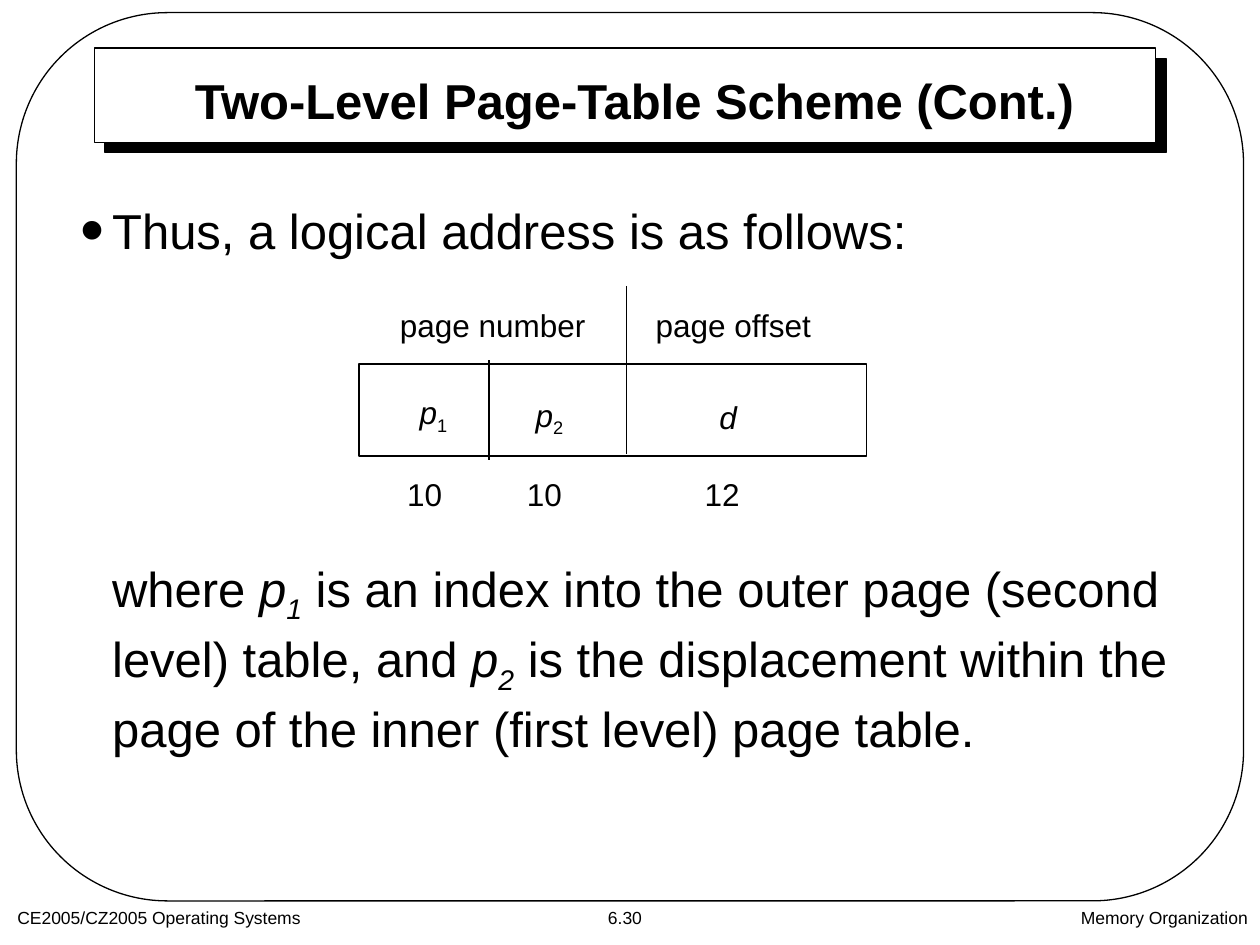
from dataclasses import dataclass

from lxml import etree
from pptx import Presentation
from pptx import util as u
from pptx.dml.color import RGBColor
from pptx.enum import shapes, text
from pptx.oxml import ns

ALIGN = text.PP_ALIGN


@dataclass(frozen=True)
class Theme:
    ink: RGBColor = RGBColor(0, 0, 0)
    paper: RGBColor = RGBColor(255, 255, 255)
    font: str = "Arial"
    heading: int = 28
    label: int = 18
    footer: int = 10
    line: float = 0.75


THEME = Theme()


def add_node(parent, tag, **attributes):
    return etree.SubElement(parent, ns.qn(tag), attributes)


def place(item, left, top, width, height):
    item.left, item.top = u.Inches(left), u.Inches(top)
    item.width, item.height = u.Inches(width), u.Inches(height)


def add_spans(para, spans, size):
    """Write (text, style) pairs; i is italic, b is bold, s is subscript."""
    for wording, style in spans:
        span = para.add_run()
        span.text = wording
        span.font.name, span.font.size = THEME.font, u.Pt(size)
        span.font.color.rgb = THEME.ink
        span.font.bold, span.font.italic = "b" in style, "i" in style
        if "s" in style:
            span.font._element.set("baseline", "-25000")


def add_label(parts, spans, bounds, size, align=ALIGN.CENTER, wrap=False):
    box = parts.add_textbox(*map(u.Inches, bounds))
    frame = box.text_frame
    frame.word_wrap = wrap
    if not wrap:
        frame.vertical_anchor = text.MSO_ANCHOR.MIDDLE
        frame.auto_size = text.MSO_AUTO_SIZE.SHAPE_TO_FIT_TEXT
    para = frame.paragraphs[0]
    para.alignment = align
    add_spans(para, spans, size)


def add_outline(parts, kind, bounds, filled=True):
    box = parts.add_shape(kind, *map(u.Inches, bounds))
    box.shadow.inherit = False
    if filled:
        box.fill.solid()
        box.fill.fore_color.rgb = THEME.paper
    else:
        box.fill.background()
    box.line.color.rgb, box.line.width = THEME.ink, u.Pt(THEME.line)
    return box


def add_divider(parts, x, top, bottom):
    line = parts.add_connector(shapes.MSO_CONNECTOR.STRAIGHT, u.Inches(x),
                               u.Inches(top), u.Inches(x), u.Inches(bottom))
    line.line.color.rgb, line.line.width = THEME.ink, u.Pt(THEME.line)
    add_node(line._element.spPr, "a:effectLst")


def build_frame(page, left, top, width, height):
    """Rounded page border and the shadowed panel behind the title."""
    panel = add_outline(page.shapes, shapes.MSO_SHAPE.RECTANGLE,
                        (left + 0.62, top + 0.28, width - 1.32, 0.75))
    effects = panel._element.spPr.find(ns.qn("a:effectLst"))
    shadow = add_node(effects, "a:outerShdw", dist=str(u.Pt(8.5)),
                      dir="2700000", algn="ctr", rotWithShape="0")
    add_node(shadow, "a:srgbClr", val=str(THEME.ink))
    border = add_outline(page.shapes, shapes.MSO_SHAPE.ROUNDED_RECTANGLE,
                         (left, top, width, height), filled=False)
    border.adjustments[0] = 0.17
    # The frame belongs behind the placeholders
    tree = page.shapes._spTree
    for index, part in enumerate((panel, border), start=2):
        tree.insert(index, part._element)


def build_footer(page, left, top, width, height):
    for wording, offset, part, align, wrap in (
            ("CE2005/CZ2005 Operating Systems", 0, 4.46, ALIGN.LEFT, True),
            ("6.30", 4.45, 0.94, ALIGN.CENTER, False),
            ("Memory Organization", width - 3.17, 3.17, ALIGN.RIGHT, True)):
        add_label(page.shapes, [(wording, "")],
                  (left + offset, top, part, height if wrap else 0.27),
                  THEME.footer, align, wrap)


def build_title(page, wording, left, top, width, height):
    title = page.shapes.title
    place(title, left, top, width, height)
    frame = title.text_frame
    frame.auto_size = text.MSO_AUTO_SIZE.NONE
    frame.vertical_anchor = text.MSO_ANCHOR.MIDDLE
    frame.paragraphs[0].alignment = ALIGN.CENTER
    add_spans(frame.paragraphs[0], [(wording, "b")], THEME.heading)


def build_body(page, left, top, width, height):
    """Bullet, then its continuation below the room left for the diagram."""
    body = page.placeholders[1]
    place(body, left, top, width, height)
    frame = body.text_frame
    frame.auto_size = text.MSO_AUTO_SIZE.NONE
    lead, detail = frame.paragraphs[0], frame.add_paragraph()
    indent = u.Inches(0.25)
    for para, hanging, before in ((lead, -indent, 0), (detail, 0, 169)):
        properties = para._p.get_or_add_pPr()
        properties.set("marL", str(indent))
        properties.set("indent", str(hanging))
        if hanging:
            color = add_node(properties, "a:buClr")
            add_node(color, "a:srgbClr", val=str(THEME.ink))
            add_node(properties, "a:buSzPct", val="140000")
            add_node(properties, "a:buFont", typeface=THEME.font)
            add_node(properties, "a:buChar", char="•")
        else:
            add_node(properties, "a:buNone")
        para.alignment = ALIGN.LEFT
        para.line_spacing = 1.05
        para.space_before = u.Pt(before)
    add_spans(lead, [("Thus, a logical address is as follows:", "")],
              THEME.heading)
    add_spans(detail, [
        ("where", ""), (" p", "i"), ("1", "is"),
        (" is an index into the outer page (second level) table, and ", ""),
        ("p", "i"), ("2", "is"),
        (" is the displacement within the page of the inner (first level) "
         "page table.", "")], THEME.heading)


def build_address(page, left, top, width, height):
    """Address word with its fields, headings above and bit counts below."""
    parts = page.shapes.add_group_shape().shapes
    add_outline(parts, shapes.MSO_SHAPE.RECTANGLE, (left, top, width, height))
    # Spans, centre x and centre y from the word's corner, box size
    for spans, x, y, wide, tall in (
            ([("page number", "")], 1.06, -0.31, 1.67, 0.4),
            ([("page offset", "")], 2.97, -0.31, 1.43, 0.4),
            ([("p", "i"), ("1", "s")], 0.59, 0.4, 0.42, 0.44),
            ([("p", "i"), ("2", "s")], 1.51, 0.42, 0.42, 0.44),
            ([("d", "i")], 2.93, 0.42, 0.34, 0.4),
            ([("10", "")], 0.52, 1.03, 0.48, 0.4),
            ([("10", "")], 1.47, 1.03, 0.48, 0.4),
            ([("12", "")], 2.88, 1.03, 0.48, 0.4)):
        add_label(parts, spans, (left + x - wide / 2, top + y - tall / 2,
                                 wide, tall), THEME.label)
    add_divider(parts, left + 2.12, top - 0.62, top + 0.71)
    add_divider(parts, left + 1.03, top - 0.03, top + 0.76)


def main():
    deck = Presentation()
    deck.slide_width, deck.slide_height = u.Inches(10), u.Inches(7.5)
    page = deck.slides.add_slide(deck.slide_layouts[1])
    build_frame(page, 0.13, 0.1, 9.74, 7.05)
    build_title(page, "Two-Level Page-Table Scheme (Cont.)",
                1.27, 0.54, 7.53, 0.5)
    build_body(page, 0.54, 1.52, 9.02, 5.48)
    build_address(page, 2.85, 2.89, 4.03, 0.73)
    build_footer(page, 0.04, 7.15, 9.96, 0.35)
    deck.save("out.pptx")


if __name__ == "__main__":
    main()
